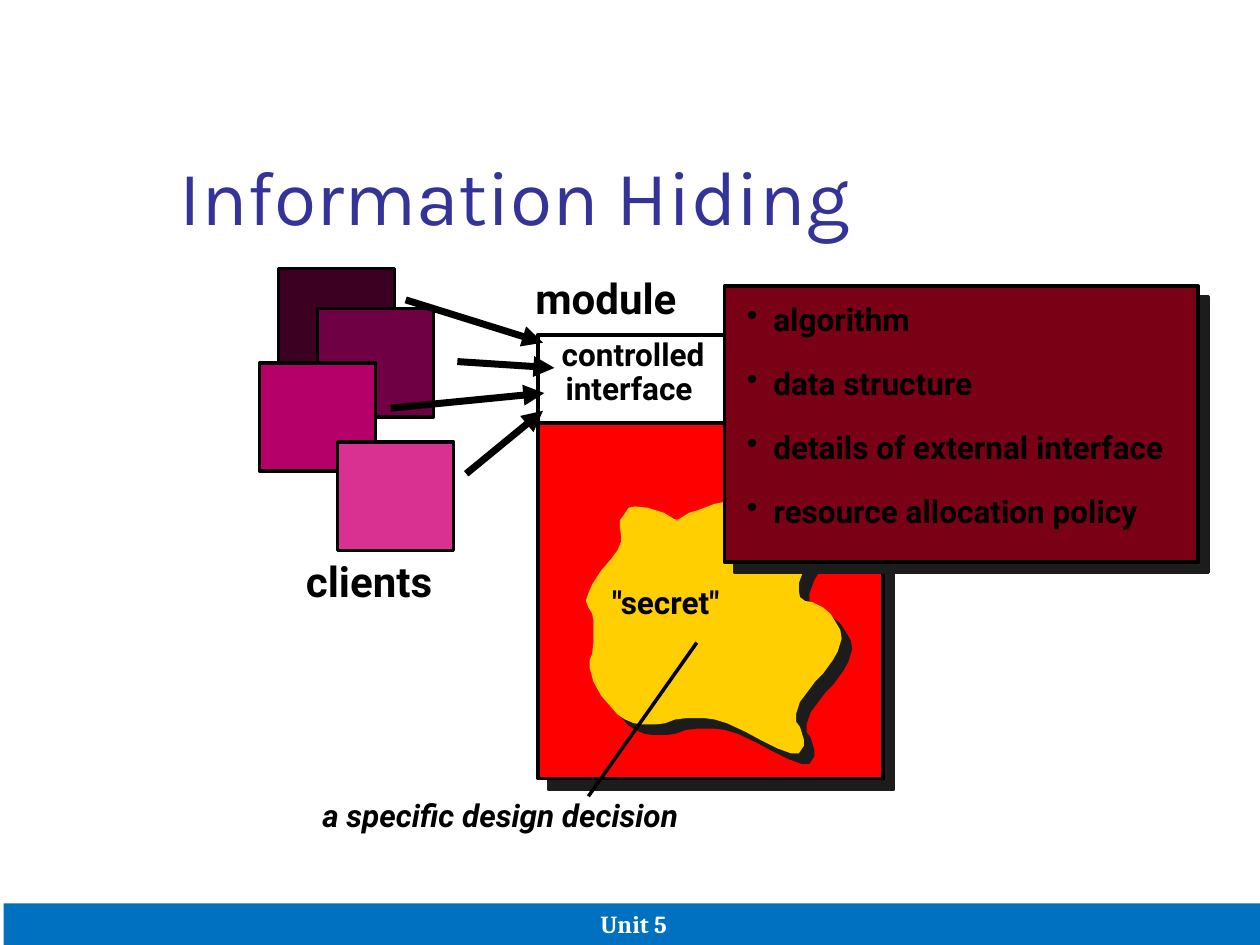
import pptx
import pptx.util
import pptx.dml.color
import pptx.enum.shapes
import pptx.enum.text
import lxml.etree
from dataclasses import dataclass

Inches = pptx.util.Inches
Pt = pptx.util.Pt
RGB = pptx.dml.color.RGBColor.from_string
ANCHOR = pptx.enum.text.MSO_ANCHOR
RECTANGLE = pptx.enum.shapes.MSO_SHAPE.RECTANGLE
STRAIGHT = pptx.enum.shapes.MSO_CONNECTOR.STRAIGHT
qn = pptx.oxml.ns.qn


@dataclass(frozen=True)
class Theme:
    ink: str = "000000"
    paper: str = "FFFFFF"
    title: str = "333399"
    module: str = "FF0000"
    secret: str = "FFCF01"
    panel: str = "790015"
    shadow: str = "1C1C1C"
    footer: str = "0070C0"
    clients: tuple = ("3C0023", "6E0043", "B50069", "D93192")
    title_size: float = 44
    heading_size: float = 24
    label_size: float = 18
    footer_size: float = 14
    outline: float = 2
    arrow: float = 4


theme = Theme()
presentation = pptx.Presentation()
presentation.slide_width = Inches(10)
presentation.slide_height = Inches(7.5)
slide = presentation.slides.add_slide(presentation.slide_layouts[6])
shapes = slide.shapes


def style_shape(shape, fill, outlined=True, shadowed=False):
    shape.shadow.inherit = False
    shape.fill.solid()
    shape.fill.fore_color.rgb = RGB(fill)
    if outlined:
        shape.line.color.rgb = RGB(theme.ink)
        shape.line.width = Pt(theme.outline)
    else:
        shape.line.fill.background()
    if shadowed:
        effects = shape._element.spPr.find(qn("a:effectLst"))
        shadow = lxml.etree.SubElement(
            effects, qn("a:outerShdw"), dist=str(Pt(8.5)), dir="2700000",
            algn="ctr", rotWithShape="0")
        lxml.etree.SubElement(shadow, qn("a:srgbClr"), val=theme.shadow)


def write_text(frame, lines, color=theme.ink, bulleted=False, **formats):
    for index, line in enumerate(lines):
        paragraph = frame.paragraphs[0] if index == 0 else frame.add_paragraph()
        paragraph.text = line
        if bulleted:
            properties = paragraph._p.get_or_add_pPr()
            properties.set("marL", str(Inches(0.21)))
            properties.set("indent", str(-Inches(0.21)))
            if index:
                paragraph.space_before = Pt(15)
            lxml.etree.SubElement(properties, qn("a:buChar"), char="•")
        font = paragraph.runs[0].font
        font.color.rgb = RGB(color)
        for name, value in formats.items():
            setattr(font, name, value)


heading = {"name": "Roboto", "size": Pt(theme.heading_size), "bold": True}
label = {"name": "Roboto", "size": Pt(theme.label_size), "bold": True}

title = shapes.add_textbox(Inches(1.33), Inches(1.33), Inches(5.67), Inches(0.43))
title.text_frame.vertical_anchor = ANCHOR.MIDDLE
write_text(title.text_frame, ["Information Hiding"], theme.title,
           name="Karla", size=Pt(theme.title_size))

module = shapes.add_shape(RECTANGLE, Inches(4.27), Inches(2.66), Inches(2.74), Inches(3.52))
style_shape(module, theme.module, shadowed=True)

secret_outline = [
    (539, 413), (535, 412), (527, 407), (514, 403), (504, 402), (499, 403),
    (495, 409), (492, 413), (492, 419), (493, 425), (493, 430), (490, 437),
    (484, 445), (477, 453), (470, 464), (467, 471), (465, 477), (467, 482),
    (470, 487), (471, 492), (471, 510), (470, 519), (468, 524), (468, 530),
    (471, 541), (477, 552), (484, 560), (490, 567), (496, 571), (503, 574),
    (509, 575), (521, 575), (528, 574), (536, 571), (545, 570), (559, 570),
    (567, 571), (577, 574), (592, 581), (603, 587), (617, 594), (628, 598),
    (634, 598), (636, 595), (638, 592), (638, 587), (635, 577), (632, 573),
    (632, 566), (635, 557), (638, 553), (647, 541), (653, 535), (661, 524),
    (665, 517), (668, 507), (667, 500), (664, 495), (659, 487), (653, 482),
    (645, 478), (639, 477), (635, 474), (634, 469), (634, 463), (638, 452),
    (645, 441), (650, 431), (653, 425), (654, 417), (653, 414), (649, 412),
    (631, 412), (622, 409), (613, 403), (606, 396), (599, 395), (588, 395),
    (577, 398), (567, 400), (554, 405), (547, 407), (539, 412), (536, 413),
]
builder = shapes.build_freeform(*secret_outline[0], scale=Inches(0.01))
builder.add_line_segments(secret_outline[1:], close=True)
style_shape(builder.convert_to_shape(), theme.secret, outlined=False, shadowed=True)

interface = shapes.add_shape(RECTANGLE, Inches(4.27), Inches(2.66), Inches(2.74), Inches(0.7))
style_shape(interface, theme.paper)

panel = shapes.add_shape(RECTANGLE, Inches(5.75), Inches(2.27), Inches(3.76), Inches(2.19))
style_shape(panel, theme.panel, shadowed=True)

client_corners = [(2.21, 2.13), (2.52, 2.45), (2.06, 2.88), (2.68, 3.51)]
for (left, top), fill in zip(client_corners, theme.clients):
    client = shapes.add_shape(RECTANGLE, Inches(left), Inches(top), Inches(0.92), Inches(0.86))
    style_shape(client, fill)

captions = [
    ("module", 4.15, 2.11, 1.38, 0.5, heading),
    ("controlled", 4.36, 2.61, 1.41, 0.4, label),
    ("interface", 4.39, 2.88, 1.24, 0.4, label),
    ('"secret"', 4.76, 4.58, 1.17, 0.4, label),
    ("clients", 2.33, 4.36, 1.25, 0.5, heading),
    ("a specific design decision", 2.46, 6.27, 3.3, 0.4, {**label, "italic": True}),
]
for text, left, top, width, height, formats in captions:
    caption = shapes.add_textbox(Inches(left), Inches(top), Inches(width), Inches(height))
    caption.text_frame.word_wrap = False
    write_text(caption.text_frame, [text], **formats)

secrets = shapes.add_textbox(Inches(5.83), Inches(2.33), Inches(3.66), Inches(1.9))
secrets.text_frame.word_wrap = True
write_text(secrets.text_frame,
           ["algorithm", "data structure", "details of external interface",
            "resource allocation policy"], bulleted=True, **label)

lines = [
    (5.53, 5.1, 4.67, 6.32, False),
    (3.63, 2.87, 4.4, 2.92, True),
    (3.22, 2.38, 4.31, 2.72, True),
    (3.1, 3.24, 4.32, 3.12, True),
    (3.7, 3.76, 4.31, 3.26, True),
]
for *ends, has_arrow in lines:
    connector = shapes.add_connector(STRAIGHT, *map(Inches, ends))
    connector.line.color.rgb = RGB(theme.ink)
    connector.line.width = Pt(theme.arrow if has_arrow else theme.outline)
    if has_arrow:
        lxml.etree.SubElement(connector.line._get_or_add_ln(), qn("a:tailEnd"), type="triangle")
    lxml.etree.SubElement(connector._element.spPr, qn("a:effectLst"))

footer = shapes.add_shape(RECTANGLE, Inches(0.03), Inches(7.17), Inches(10), Inches(0.33))
style_shape(footer, theme.footer, outlined=False)
footer.text_frame.vertical_anchor = ANCHOR.BOTTOM
write_text(footer.text_frame, ["Unit 5"], theme.paper,
           name="Cambria", size=Pt(theme.footer_size), bold=True)
footer.text_frame.paragraphs[0].alignment = pptx.enum.text.PP_ALIGN.CENTER

presentation.save("out.pptx")
